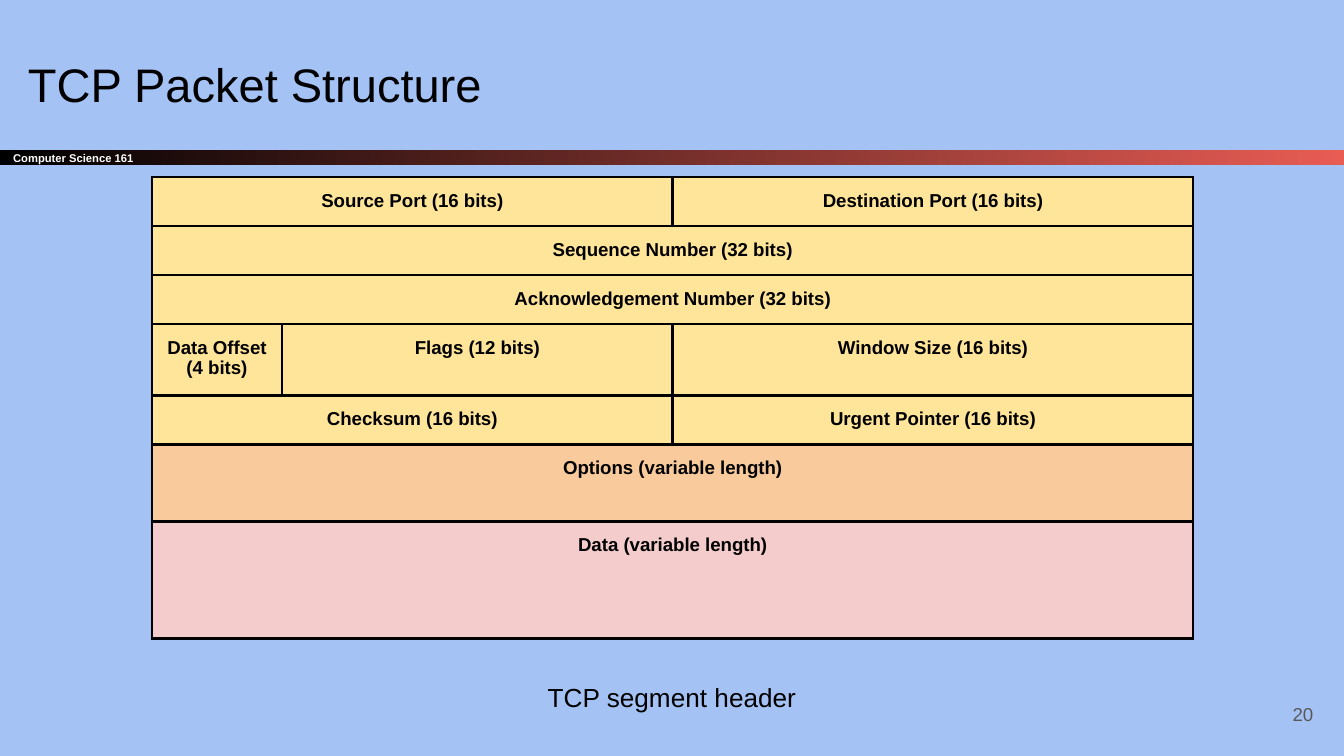
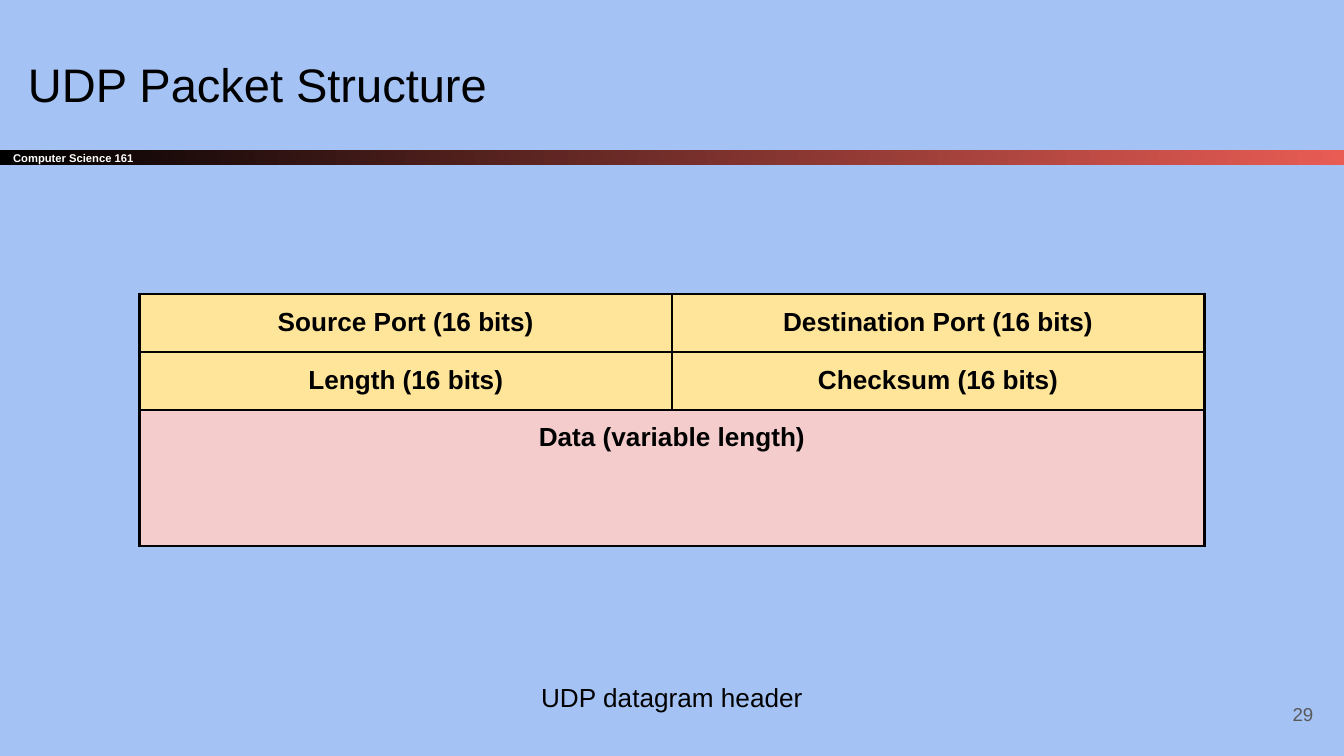
"""Build two slides that show the layout of TCP and UDP packets."""
from lxml.etree import SubElement
from pptx import Presentation
from pptx.dml.color import RGBColor
from pptx.enum.shapes import MSO_SHAPE as Shape
from pptx.enum.text import MSO_ANCHOR as Anchor, PP_ALIGN as Align
from pptx.oxml import parse_xml
from pptx.oxml.ns import nsdecls, qn
from pptx.util import Cm, Pt

COLORS = {
    "background": "A4C2F4",
    "text": "000000",
    "band_start": "000000",
    "band_end": "E85C54",
    "band_text": "FFFFFF",
    "number": "595959",
    "border": "000000",
    "header": "FFE599",
    "options": "F9CB9C",
    "data": "F4CCCC",
}
FONT = "Arial"
MARGINS = {f"margin_{side}": Cm(0.25) for side in ("left", "top", "right", "bottom")}
BORDER = Pt(1.5)


def rgb(name):
    return RGBColor.from_string(COLORS[name])


def apply(target, values):
    for name, value in values.items():
        setattr(target, name, value)


class Deck:
    def __init__(self, width, height):
        self.presentation = Presentation()
        apply(self.presentation, {"slide_width": Cm(width), "slide_height": Cm(height)})
        self.width = width
        self.slide = None

    def style_text(self, frame, text, size, color="text", bold=False, **layout):
        paragraph = frame.paragraphs[0]
        paragraph.text = text
        apply(paragraph, layout)
        apply(paragraph.font, {"name": FONT, "size": Pt(size), "bold": bold})
        paragraph.font.color.rgb = rgb(color)

    def fill_frame(self, frame, text, size, anchor=Anchor.TOP, **style):
        apply(frame, {**MARGINS, "word_wrap": True, "vertical_anchor": anchor})
        self.style_text(frame, text, size, **style)

    def text_box(self, box, text, size, **style):
        shape = self.slide.shapes.add_textbox(*map(Cm, box))
        self.fill_frame(shape.text_frame, text, size, **style)

    def band(self, text):
        box = (0, 2.83, self.width, 0.3)
        shape = self.slide.shapes.add_shape(Shape.RECTANGLE, *map(Cm, box))
        shape.shadow.inherit = False
        shape.line.fill.background()
        shape.fill.gradient()
        shape.fill.gradient_angle = 0
        for stop, color in zip(shape.fill.gradient_stops, ("band_start", "band_end")):
            stop.color.rgb = rgb(color)
        self.fill_frame(shape.text_frame, text, 6, color="band_text", bold=True,
                        anchor=Anchor.MIDDLE, alignment=Align.LEFT)

    def start_slide(self, title, caption, number):
        layout = self.presentation.slide_layouts[6]
        self.slide = self.presentation.slides.add_slide(layout)
        self.slide.background.fill.solid()
        self.slide.background.fill.fore_color.rgb = rgb("background")
        self.band("Computer Science 161")
        self.text_box((0.28, 0.76, 23.67, 1.6), title, 25.2, anchor=Anchor.BOTTOM)
        self.text_box((1.42, 12.55, 22.56, 1.6), caption, 14, alignment=Align.CENTER,
                      line_spacing=1.15, space_after=Pt(12))
        self.text_box((23.55, 12.95, 1.52, 1.09), number, 10, color="number",
                      anchor=Anchor.MIDDLE, alignment=Align.RIGHT)

    def outline(self, cell):
        properties = cell._tc.get_or_add_tcPr()
        for index, side in enumerate(("lnL", "lnR", "lnT", "lnB")):
            line = parse_xml(f'<a:{side} {nsdecls("a")} w="{BORDER}"/>')
            fill = SubElement(line, qn("a:solidFill"))
            SubElement(fill, qn("a:srgbClr"), val=COLORS["border"])
            properties.insert(index, line)

    def packet(self, left, top, column_width, column_count, size, rows):
        box = (left, top, column_width * column_count, sum(row[0] for row in rows))
        table = self.slide.shapes.add_table(len(rows), column_count, *map(Cm, box)).table
        apply(table, {"first_row": False, "horz_banding": False})
        for column in table.columns:
            column.width = Cm(column_width)
        for row_index, (height, color, fields) in enumerate(rows):
            table.rows[row_index].height = Cm(height)
            for cell in table.rows[row_index].cells:
                apply(cell, MARGINS)
                cell.fill.solid()
                cell.fill.fore_color.rgb = rgb(color)
                self.outline(cell)
            start = 0
            for text, span in fields:
                cell = table.cell(row_index, start)
                if span > 1:
                    cell.merge(table.cell(row_index, start + span - 1))
                self.style_text(cell.text_frame, text, size, bold=True,
                                alignment=Align.CENTER)
                start += span


def main():
    deck = Deck(25.4, 14.29)

    deck.start_slide("TCP Packet Structure", "TCP segment header", "20")
    deck.packet(2.87, 3.35, 2.46, 8, 10, [
        (0.9, "header", [("Source Port (16 bits)", 4), ("Destination Port (16 bits)", 4)]),
        (0.9, "header", [("Sequence Number (32 bits)", 8)]),
        (0.9, "header", [("Acknowledgement Number (32 bits)", 8)]),
        (1.3, "header", [("Data Offset (4 bits)", 1), ("Flags (12 bits)", 3),
                         ("Window Size (16 bits)", 4)]),
        (0.9, "header", [("Checksum (16 bits)", 4), ("Urgent Pointer (16 bits)", 4)]),
        (1.46, "options", [("Options (variable length)", 8)]),
        (2.21, "data", [("Data (variable length)", 8)]),
    ])

    deck.start_slide("UDP Packet Structure", "UDP datagram header", "29")
    deck.packet(2.64, 5.56, 10.06, 2, 14, [
        (1.06, "header", [("Source Port (16 bits)", 1), ("Destination Port (16 bits)", 1)]),
        (1.06, "header", [("Length (16 bits)", 1), ("Checksum (16 bits)", 1)]),
        (2.57, "data", [("Data (variable length)", 2)]),
    ])

    deck.presentation.save("out.pptx")


if __name__ == "__main__":
    main()
